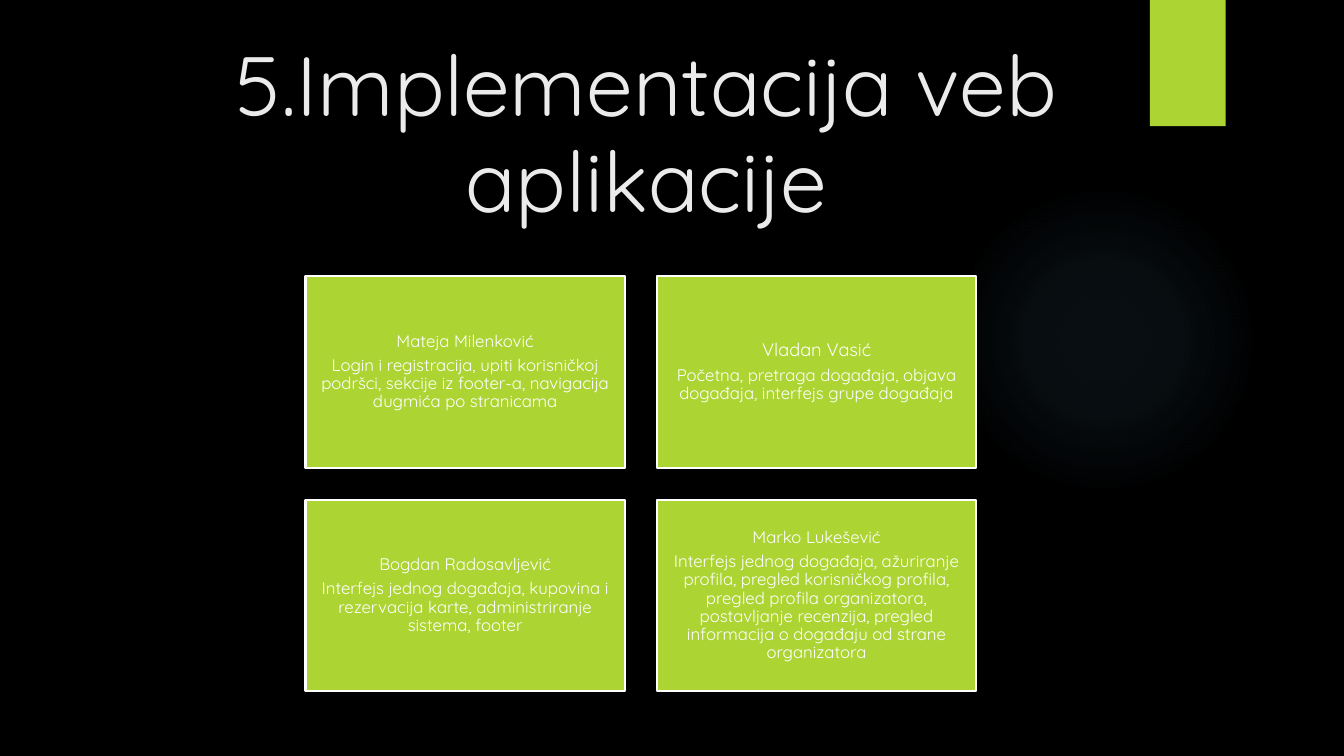
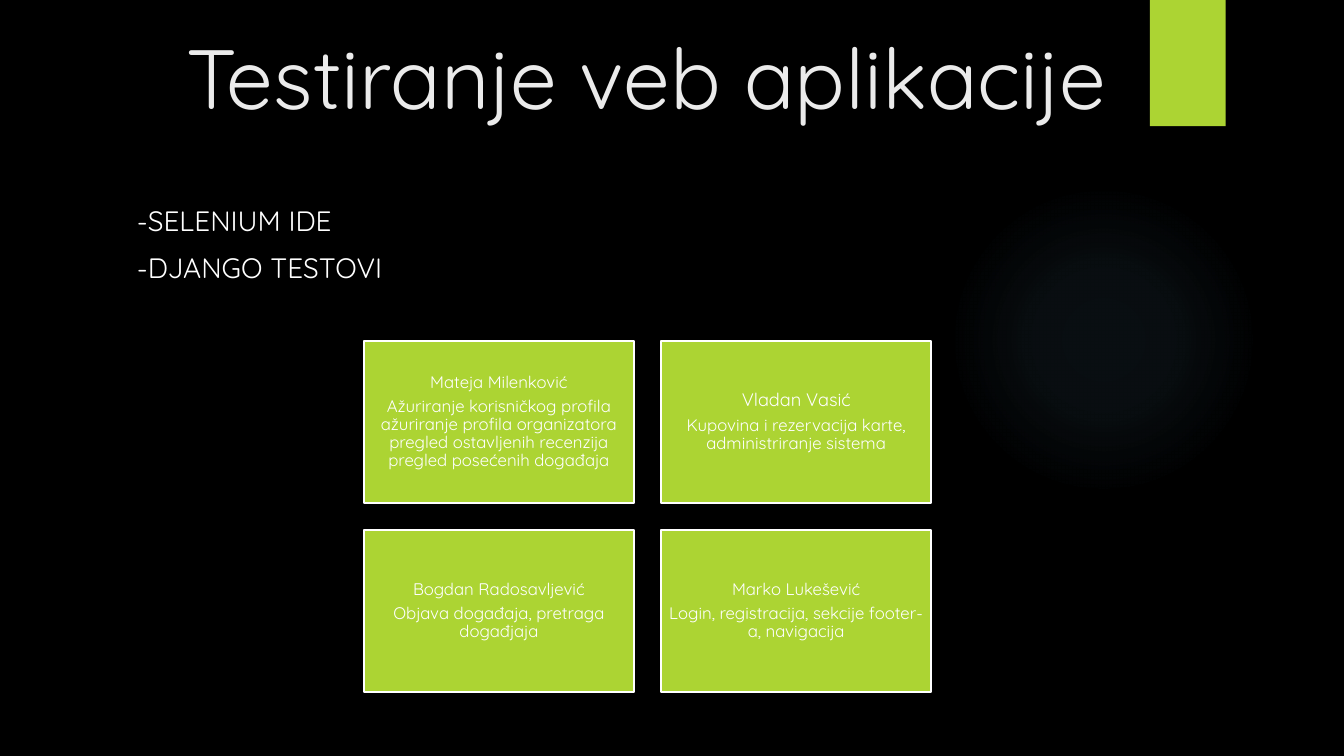
from dataclasses import dataclass

import pptx
import pptx.dml.color
import pptx.enum.shapes
import pptx.enum.text
import pptx.oxml
import pptx.oxml.ns
import pptx.util

Cm = pptx.util.Cm
Pt = pptx.util.Pt
ALIGN = pptx.enum.text.PP_ALIGN
ANCHOR = pptx.enum.text.MSO_ANCHOR
SHAPE = pptx.enum.shapes.MSO_SHAPE

FONT = "Quicksand"
BLACK = "000000"
WHITE = "FFFFFF"
GREEN = "ACD433"
TITLE_GREY = "EBEBEB"
GLOW_BLUE = "7AC4F0"
GLOW_STOPS = ((0, 7), (36, 6), (69, 0))  # position %, opacity %


@dataclass
class Box:
    """A rectangle in centimetres."""
    left: float
    top: float
    width: float
    height: float

    def lengths(self) -> tuple:
        return Cm(self.left), Cm(self.top), Cm(self.width), Cm(self.height)


@dataclass
class Card:
    name: str
    tasks: str
    name_size: int = 12


@dataclass
class CardGrid:
    left: float
    top: float
    card_width: float
    cards: list[Card]


GLOW = Box(23.9, 4.65, 7.82, 7.82)
TAB = Box(28.98, 0, 1.91, 3.18)

IMPLEMENTATION = CardGrid(7.7, 6.96, 8.05, [
    Card("Mateja Milenković",
         "Login i registracija, upiti korisničkoj podršci, sekcije iz footer-a, "
         "navigacija dugmića po stranicama"),
    Card("Vladan Vasić",
         "Početna, pretraga događaja, objava događaja, interfejs grupe događaja", 13),
    Card("Bogdan Radosavljević",
         "Interfejs jednog događaja, kupovina i rezervacija karte, "
         "administriranje sistema, footer"),
    Card("Marko Lukešević",
         "Interfejs jednog događaja, ažuriranje profila, pregled korisničkog profila, "
         "pregled profila organizatora, postavljanje recenzija, pregled informacija "
         "o događaju od strane organizatora"),
])

TESTING = CardGrid(9.17, 8.59, 6.81, [
    Card("Mateja Milenković",
         "Ažuriranje korisničkog profila ažuriranje profila organizatora "
         "pregled ostavljenih recenzija pregled posećenih događaja"),
    Card("Vladan Vasić", "Kupovina i rezervacija karte, administriranje sistema", 13),
    Card("Bogdan Radosavljević", "Objava događaja, pretraga događjaja"),
    Card("Marko Lukešević", "Login, registracija, sekcije footer-a, navigacija"),
])


def rgb(color: str) -> pptx.dml.color.RGBColor:
    return pptx.dml.color.RGBColor.from_string(color)


def style_paragraph(p, text: str, size: int, color: str, align=ALIGN.LEFT) -> None:
    p.text = text
    p.alignment = align
    p.font.name = FONT
    p.font.size = Pt(size)
    p.font.color.rgb = rgb(color)


def add_filled_shape(s, kind, box: Box, color: str):
    sp = s.shapes.add_shape(kind, *box.lengths())
    sp.shadow.inherit = False
    sp.fill.solid()
    sp.fill.fore_color.rgb = rgb(color)
    sp.line.fill.background()
    return sp


def add_glow(s) -> None:
    """Draw the faint circle that fades out from its centre."""
    sp = add_filled_shape(s, SHAPE.OVAL, GLOW, GLOW_BLUE)
    stops = "".join(
        f'<a:gs pos="{pos * 1000}"><a:srgbClr val="{GLOW_BLUE}">'
        f'<a:alpha val="{alpha * 1000}"/></a:srgbClr></a:gs>'
        for pos, alpha in GLOW_STOPS)
    gradient = pptx.oxml.parse_xml(
        f'<a:gradFill {pptx.oxml.ns.nsdecls("a")}><a:gsLst>{stops}</a:gsLst>'
        '<a:path path="circle">'
        '<a:fillToRect l="50000" t="50000" r="50000" b="50000"/></a:path></a:gradFill>')
    props = sp._element.spPr
    props.replace(props.find(pptx.oxml.ns.qn("a:solidFill")), gradient)


def add_text_frame(s, box: Box, anchor=ANCHOR.TOP):
    tf = s.shapes.add_textbox(*box.lengths()).text_frame
    tf.word_wrap = True
    tf.vertical_anchor = anchor
    return tf


def add_titled_slide(prs, title: str, title_box: Box):
    s = prs.slides.add_slide(prs.slide_layouts[6])
    s.background.fill.solid()
    s.background.fill.fore_color.rgb = rgb(BLACK)
    add_glow(s)
    add_filled_shape(s, SHAPE.RECTANGLE, TAB, GREEN)
    p = add_text_frame(s, title_box, ANCHOR.BOTTOM).paragraphs[0]
    style_paragraph(p, title, 60, TITLE_GREY, ALIGN.CENTER)
    p.line_spacing = 0.95
    return s


def add_bullets(s, box: Box, lines: list[str]) -> None:
    tf = add_text_frame(s, box)
    for i, line in enumerate(lines):
        p = tf.add_paragraph() if i else tf.paragraphs[0]
        style_paragraph(p, line, 20, WHITE)
        p.space_before = Pt(10)


def add_card(s, box: Box, card: Card) -> None:
    sp = add_filled_shape(s, SHAPE.RECTANGLE, box, GREEN)
    sp.line.color.rgb = rgb(WHITE)
    sp.line.width = Pt(1.5)
    tf = sp.text_frame
    tf.word_wrap = True
    tf.vertical_anchor = ANCHOR.MIDDLE
    tf.margin_left = tf.margin_right = tf.margin_top = tf.margin_bottom = Cm(0.13)
    style_paragraph(tf.paragraphs[0], card.name, card.name_size, WHITE, ALIGN.CENTER)
    style_paragraph(tf.add_paragraph(), card.tasks, 12, WHITE, ALIGN.CENTER)
    for p in tf.paragraphs:
        p.line_spacing = 0.9
        p.space_after = Pt(4.2)


def add_card_grid(s, grid: CardGrid) -> None:
    """Lay the cards out in two columns; height and gap follow the card width."""
    width, height, gap = grid.card_width, grid.card_width * 0.6, grid.card_width * 0.1
    for i, card in enumerate(grid.cards):
        row, col = divmod(i, 2)
        box = Box(grid.left + col * (width + gap), grid.top + row * (height + gap),
                  width, height)
        add_card(s, box, card)


def main() -> None:
    prs = pptx.Presentation()
    prs.slide_width, prs.slide_height = Cm(33.87), Cm(19.05)

    s = add_titled_slide(prs, "5.Implementacija veb aplikacije",
                         Box(3.2, 1.73, 26.16, 4.24))
    add_card_grid(s, IMPLEMENTATION)

    s = add_titled_slide(prs, "Testiranje veb aplikacije", Box(2.03, 1.24, 28.5, 2.13))
    add_bullets(s, Box(3.2, 5, 24.51, 10.67), ["-SELENIUM IDE", "-DJANGO TESTOVI"])
    add_card_grid(s, TESTING)

    prs.save("out.pptx")


if __name__ == "__main__":
    main()
